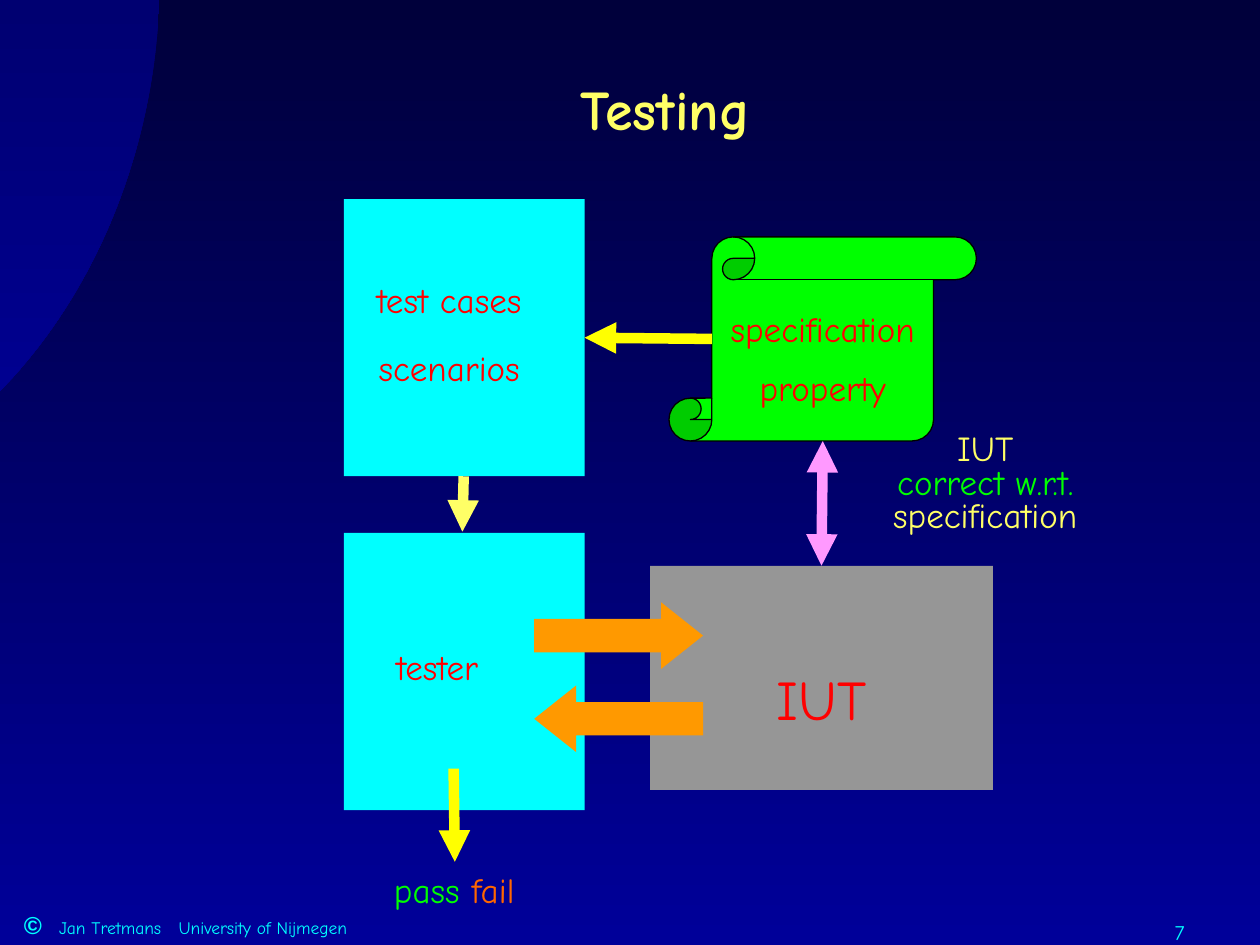
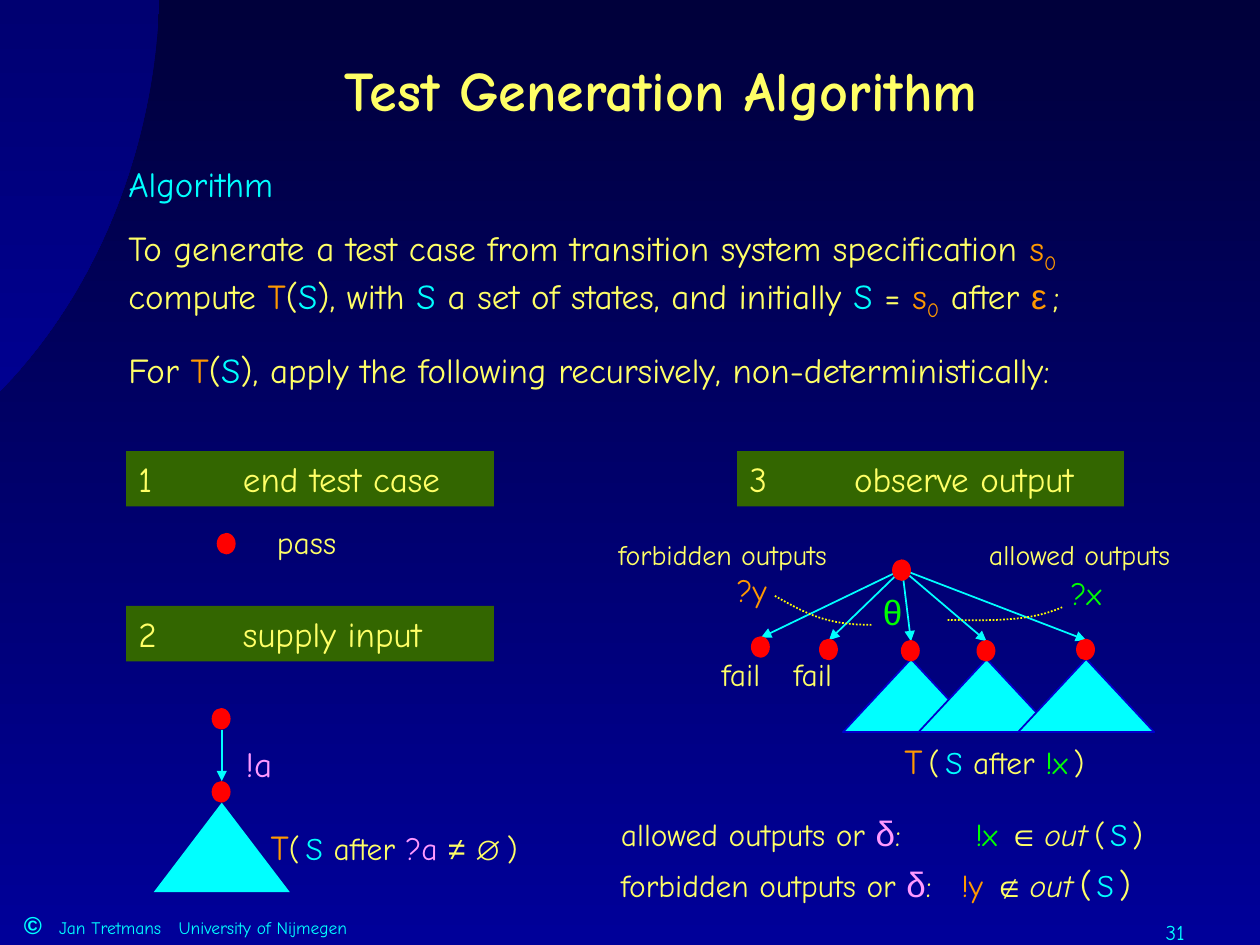
"""Build two slides on testing and test generation."""
from math import cos, pi, sin

from lxml import etree
from pptx import Presentation
from pptx.dml.color import RGBColor
from pptx.enum import dml, shapes, text
from pptx.oxml.ns import qn
from pptx.util import Inches, Pt

FACE, SIGNS = "Comic Neue", "Arial"
NIGHT, NAVY = RGBColor(0, 0, 0x3B), RGBColor(0, 0, 0x99)
DUSK, DAWN = RGBColor(0, 0, 0x71), RGBColor(0, 0, 0x90)
CREAM, YELLOW = RGBColor(0xFF, 0xFF, 0x66), RGBColor(0xFF, 0xFF, 0)
CYAN, GREEN = RGBColor(0, 0xFF, 0xFF), RGBColor(0, 0xFF, 0)
RED, PINK = RGBColor(0xFF, 0, 0), RGBColor(0xFF, 0x99, 0xFF)
AMBER, RUST = RGBColor(0xFF, 0x99, 0), RGBColor(0xFF, 0x66, 0)
GREY, MOSS = RGBColor(0x96, 0x96, 0x96), RGBColor(0x33, 0x66, 0)
BLACK, BLUE = RGBColor(0, 0, 0), RGBColor(0, 0, 0xCC)
LEFT, MID = text.PP_ALIGN.LEFT, text.PP_ALIGN.CENTER
RIGHT = text.PP_ALIGN.RIGHT
TOP, CENTRE = text.MSO_ANCHOR.TOP, text.MSO_ANCHOR.MIDDLE
KIND = shapes.MSO_SHAPE

# A run is (text, colour, size, style); style b bold, i italic, s subscript.
FOOTER = [("©", CYAN, 14, "b"), ("\tJan Tretmans\tUniversity of Nijmegen",)]
PANELS = [(2.73, 1.58), (2.73, 4.23)]
FLOWS = [
    ((5.65, 2.69), (4.64, 2.68), YELLOW),
    ((3.6, 6.1), (3.61, 6.84), YELLOW),
    ((3.68, 3.78), (3.67, 4.22), CREAM),
]
CORRECT = [("IUT\n",), ("correct w.r.t.\n", GREEN), ("specification",)]
VERDICT = [("pass ", GREEN), ("fail", RUST)]

GOAL = [
    [("Algorithm", CYAN)],
    [("To generate a test case from transition system specification ",),
     ("s", AMBER), ("0", AMBER, 20, "s"), ("\ncompute ",), ("T", AMBER),
     ("(",), ("S", CYAN), ("), with ",), ("S", CYAN),
     (" a set of states, and initially ",), ("S", CYAN), (" = ",),
     ("s", AMBER), ("0", AMBER, 20, "s"), (" after ",), ("ε", AMBER),
     (" ", CREAM, 10), (";",)],
]
APPLY = [("For ",), ("T", AMBER), ("(",), ("S", CYAN),
         ("), apply the following recursively, non-deterministically:",)]
BANDS = [
    (1, 3.58, 2.92, "1\tend test case"),
    (1, 4.81, 2.92, "2\tsupply input"),
    (5.85, 3.58, 3.07, "3\tobserve output"),
]
SUPPLY = [("T", AMBER, 20), ("(",), (" ", CREAM, 10), ("S", CYAN),
          (" after ",), ("?a ", PINK), ("≠ ",), ("∅", CREAM, 16, "b"),
          (" ", CREAM, 8), (")",)]
OBSERVE = [("T", AMBER, 20), (" ", AMBER, 10), ("(",), (" ", CREAM, 10),
           ("S", CYAN), (" after",), (" !x", GREEN), (" ", CREAM, 10), (")",)]
LABELS = [
    (2.1, 4.1, 1, 18, [("pass",)]),
    (1.85, 5.84, 0.6, 20, [("!a", PINK)]),
    (2.05, 6.5, 2.36, 18, SUPPLY),
    (5.63, 5.15, 0.7, 18, [("fail",)]),
    (6.2, 5.15, 0.7, 18, [("fail",)]),
    (7.08, 5.82, 1.99, 18, OBSERVE),
    (4.81, 4.22, 2.15, 16, [("forbidden outputs",)]),
    (7.75, 4.22, 2.08, 16, [("allowed outputs",)]),
    (5.75, 4.48, 0.58, 18, [("?y", AMBER)]),
    (8.4, 4.51, 0.63, 18, [("?x", GREEN)]),
]
ROOT = (7.16, 4.52)
FAILS = [(6.04, 5.13), (6.58, 5.15)]
PASSES = [(7.23, 5.16), (7.83, 5.16), (8.62, 5.15)]
ARCS = [
    [(6.15, 4.73), (6.4, 4.87), (6.55, 4.96), (6.92, 4.96)],
    [(7.52, 4.92), (7.95, 4.93), (8.2, 4.92), (8.43, 4.82)],
]


def member(case, mark, tint, sign, size):
    """Return the runs of one line on membership of the output set."""
    return [(case + " outputs or ",), ("δ", PINK, 20), (":\t",),
            (mark + " ", tint), (sign,), (" ", CREAM, 8),
            ("out", CREAM, 18, "i"), (" ", CREAM, 12), ("(", CREAM, size),
            (" ", CREAM, 8), ("S", CYAN), (" ", CREAM, 8), (")", CREAM, size)]


def write(shape, paras, size=20, ink=CREAM, align=LEFT, anchor=TOP,
          gap=0, lead=None, tabs=()):
    """Fill a shape with paragraphs of runs."""
    frame = shape.text_frame
    frame.word_wrap = align != MID
    frame.vertical_anchor = anchor
    for n, runs in enumerate(paras):
        para = frame.add_paragraph() if n else frame.paragraphs[0]
        para.alignment, para.line_spacing = align, lead
        para.space_before = Pt(gap if n else 0)
        if tabs:
            stops = etree.SubElement(para._p.get_or_add_pPr(), qn("a:tabLst"))
            for stop in tabs[n] if isinstance(tabs[0], list) else tabs:
                etree.SubElement(stops, qn("a:tab"), algn="l",
                                 pos=str(Inches(stop)))
        font = para.font
        font.name, font.size, font.color.rgb = FACE, Pt(size), ink
        for words, *look in runs:
            tint, high, style = (look + [None] * 3)[:3]
            for k, piece in enumerate(words.split("\n")):
                if k:
                    para.add_line_break()
                if piece:
                    run = para.add_run()
                    run.text = piece
                    dress(run.font, piece, tint, high, style or "")


def dress(font, piece, tint, high, style):
    """Set what one run has of its own."""
    if any(sign in piece for sign in "©εδθ≠∈∉∅"):
        font.name = SIGNS
    if tint is not None:
        font.color.rgb = tint
    if high:
        font.size = Pt(high)
    if "b" in style:
        font.bold = True
    if "i" in style:
        font.italic = True
    if "s" in style:
        font._element.set("baseline", "-25000")


def label(slide, x, y, w, h, paras, **look):
    """Add a text box."""
    box = slide.shapes.add_textbox(*map(Inches, (x, y, w, h)))
    write(box, paras, **look)


def block(slide, kind, x, y, w, h, fill, edge=None, width=1):
    """Add a flat preset shape."""
    shape = slide.shapes.add_shape(kind, *map(Inches, (x, y, w, h)))
    shape.shadow.inherit = False
    shape.fill.solid()
    shape.fill.fore_color.rgb = fill
    if edge is None:
        shape.line.fill.background()
    else:
        shape.line.color.rgb, shape.line.width = edge, Pt(width)
    return shape


def arrow(slide, start, end, ink, width, ends=("tailEnd",)):
    """Add a straight connector with arrowheads."""
    line = slide.shapes.add_connector(
        shapes.MSO_CONNECTOR.STRAIGHT, *map(Inches, start + end))
    line.line.color.rgb, line.line.width = ink, Pt(width)
    for tip in ends:
        etree.SubElement(line.line._get_or_add_ln(), qn("a:" + tip),
                         type="triangle")
    etree.SubElement(line._element.spPr, qn("a:effectLst"))


def outline(slide, points, close):
    """Add a freeform through points."""
    spots = [tuple(map(Inches, p)) for p in points]
    pen = slide.shapes.build_freeform(*spots[0], scale=1.0)
    pen.add_line_segments(spots[1:], close=close)
    shape = pen.convert_to_shape()
    shape.shadow.inherit = False
    return shape


def blend(fill, first, last):
    """Give a fill a gradient from top to bottom."""
    fill.gradient()
    fill.gradient_angle = 270
    for stop, ink in zip(fill.gradient_stops, (first, last)):
        stop.color.rgb = ink


def arc(slide, ends):
    """Draw a dotted Bezier curve."""
    steps = [n / 16 for n in range(17)]
    points = [[sum(c * p[k] for c, p in zip(
        ((1 - t) ** 3, 3 * t * (1 - t) ** 2, 3 * t * t * (1 - t), t ** 3),
        ends)) for k in (0, 1)] for t in steps]
    shape = outline(slide, points, False)
    shape.fill.background()
    shape.line.color.rgb, shape.line.width = YELLOW, Pt(1)
    shape.line.dash_style = dml.MSO_LINE.ROUND_DOT


def dot(slide, x, y):
    """Draw a state centred on a point."""
    block(slide, KIND.OVAL, x - 0.08, y - 0.08, 0.15, 0.17, RED)


def cone(slide, x, y, h, edge=None):
    """Draw the subtree under a state."""
    block(slide, KIND.ISOSCELES_TRIANGLE, x - 0.54, y + 0.08, 1.08, h,
          CYAN, edge)


def start(deck, name, x, y, page):
    """Add a slide with its wedge, footer, title and number."""
    slide = deck.slides.add_slide(deck.slide_layouts[5])
    turns = [0.046 + n * (0.866 - 0.046) / 40 for n in range(41)]
    rim = [(max(0, 3.61 * cos(t) - 2.34), max(0, 4.34 * sin(t) - 0.2))
           for t in turns]
    wedge = outline(slide, [(0, 0)] + rim, True)
    blend(wedge.fill, DUSK, DAWN)
    wedge.line.fill.background()
    label(slide, 0.09, 7.17, 3.21, 0.33, [FOOTER], size=10, ink=CYAN,
          tabs=(0.28, 1.23))
    title = slide.shapes.title
    title.left, title.top, title.width, title.height = map(
        Inches, (x, y, 8.5, 1.25))
    write(title, [[(name, CREAM, 32, "b")]], size=32, align=MID,
          anchor=CENTRE)
    label(slide, 8.58, 7.25, 0.92, 0.25, [[(page,)]], size=12, ink=CYAN,
          align=RIGHT)
    return slide


def testing(deck):
    """Build the overview of testing."""
    slide = start(deck, "Testing", 1.03, 0.23, "7")
    iut = block(slide, KIND.RECTANGLE, 5.16, 4.49, 2.72, 1.78, GREY)
    write(iut, [[("IUT",)]], size=32, ink=RED, align=MID, anchor=CENTRE,
          lead=1.6)
    scroll = block(slide, KIND.VERTICAL_SCROLL, 5.31, 1.88, 2.44, 1.62,
                   GREEN, BLACK, 0.75)
    scroll.adjustments[0] = 0.21
    write(scroll, [[("specification\nproperty",)]], ink=RED, align=MID,
          anchor=CENTRE, lead=1.4)
    arrow(slide, (6.53, 3.5), (6.52, 4.49), PINK, 6, ("headEnd", "tailEnd"))
    label(slide, 6.99, 3.4, 1.66, 0.9, [CORRECT], align=MID, lead=0.8)
    for x, y in PANELS:
        block(slide, KIND.RECTANGLE, x, y, 1.91, 2.2, CYAN)
    label(slide, 2.89, 2.21, 1.35, 0.87, [[("test cases",)], [("scenarios",)]],
          ink=RED, align=MID, anchor=CENTRE, gap=15)
    label(slide, 3.04, 5.07, 0.86, 0.44, [[("tester",)]], ink=RED, align=MID,
          anchor=CENTRE)
    label(slide, 2.78, 6.84, 1.65, 0.44, [VERDICT], align=MID)
    for tail, tip, ink in FLOWS:
        arrow(slide, tail, tip, ink, 6)
    for kind, y in ((KIND.RIGHT_ARROW, 4.78), (KIND.LEFT_ARROW, 5.44)):
        block(slide, kind, 4.24, y, 1.34, 0.53, AMBER).adjustments[1] = 0.63


def algorithm(deck):
    """Build the test generation algorithm."""
    slide = start(deck, "Test Generation Algorithm", 1, 0.08, "31")
    label(slide, 0.92, 1.24, 9.08, 1.37, GOAL, gap=12.5)
    label(slide, 0.92, 2.72, 9, 0.44, [APPLY])
    for x, y, w, words in BANDS:
        band = block(slide, KIND.RECTANGLE, x, y, w, 0.44, MOSS)
        write(band, [[(words,)]], tabs=(0.83,))
    dot(slide, 1.8, 4.31)
    arrow(slide, (1.76, 5.79), (1.76, 6.2), CYAN, 1)
    cone(slide, 1.76, 6.29, 0.71)
    for y in (5.7, 6.28):
        dot(slide, 1.76, y)
    for x, y in FAILS + PASSES:
        arrow(slide, ROOT, (x, y - 0.07), CYAN, 1)
    for x, y in PASSES:
        cone(slide, x, 5.15, 0.58, BLUE)
    for curve in ARCS:
        arc(slide, curve)
    for spot in [ROOT] + FAILS + PASSES:
        dot(slide, *spot)
    for x, y, w, size, runs in LABELS:
        label(slide, x, y, w, 0.4, [runs], size=size)
    label(slide, 6.91, 4.7, 0.34, 0.37, [[("θ", GREEN)]], align=MID,
          anchor=CENTRE, lead=0.8)
    label(slide, 4.83, 6.48, 4.71, 0.74,
          [member("allowed", "!x", GREEN, "∈", 18),
           member("forbidden", "!y", AMBER, "∉", 20)],
          size=18, gap=12.5, lead=0.7, tabs=([2.81], [2.7]))


def main():
    """Save the deck."""
    deck = Presentation()
    deck.slide_width, deck.slide_height = Inches(10), Inches(7.5)
    blend(deck.slide_master.background.fill, NIGHT, NAVY)
    testing(deck)
    algorithm(deck)
    deck.save("out.pptx")


if __name__ == "__main__":
    main()
